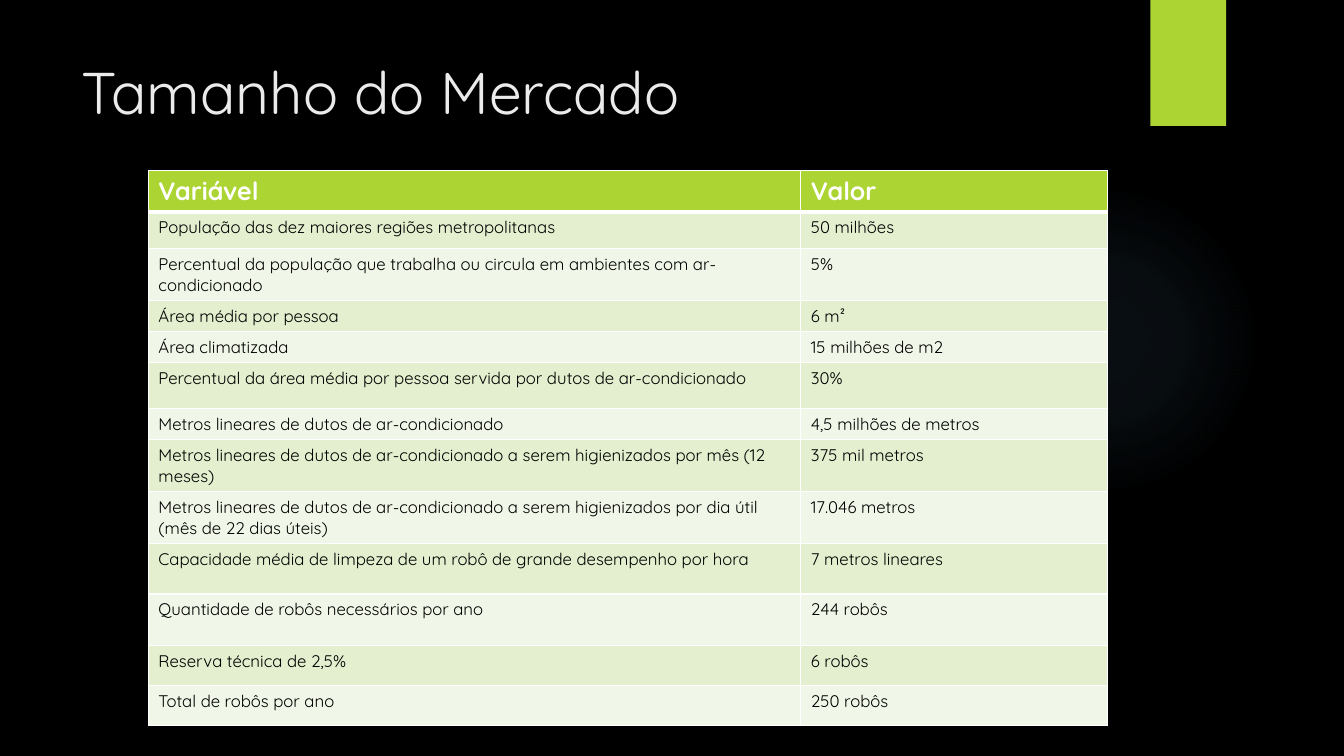
import pptx
import pptx.util
import pptx.dml.color
import pptx.enum.shapes
import pptx.enum.text
import pptx.oxml
import pptx.oxml.ns
from lxml import etree

Pt = pptx.util.Pt
FONT = "Quicksand"
GREEN, WHITE, BLACK = "ACD433", "FFFFFF", "000000"
BANDS = ["E3EFCE", "F1F7E8"]
NS = 'xmlns:a="http://schemas.openxmlformats.org/drawingml/2006/main"'

# Text of each row, with its height
ROWS = [
    ("Variável", "Valor", 29),
    ("População das dez maiores regiões metropolitanas", "50 milhões", 26),
    ("Percentual da população que trabalha ou circula em ambientes com "
     "ar-condicionado", "5%", 37),
    ("Área média por pessoa", "6 m²", 22),
    ("Área climatizada", "15 milhões de m2", 22),
    ("Percentual da área média por pessoa servida por dutos de "
     "ar-condicionado", "30%", 32.5),
    ("Metros lineares de dutos de ar-condicionado", "4,5 milhões de metros", 22),
    ("Metros lineares de dutos de ar-condicionado a serem higienizados por "
     "mês (12 meses)", "375 mil metros", 37),
    ("Metros lineares de dutos de ar-condicionado a serem higienizados por "
     "dia útil (mês de 22 dias úteis)", "17.046 metros", 37),
    ("Capacidade média de limpeza de um robô de grande desempenho por hora",
     "7 metros lineares", 36),
    ("Quantidade de robôs necessários por ano", "244 robôs", 37),
    ("Reserva técnica de 2,5%", "6 robôs", 28.5),
    ("Total de robôs por ano", "250 robôs", 28.5),
]


def rgb(value):
    return pptx.dml.color.RGBColor.from_string(value)


def add_run(p, text, size, color, bold=False):
    r = p.add_run()
    r.text = text
    r.font.name, r.font.size, r.font.bold = FONT, Pt(size), bold
    r.font.color.rgb = rgb(color)


def add_plain_shape(s, kind, box):
    sp = s.shapes.add_shape(kind, *map(Pt, box))
    sp.shadow.inherit = False
    sp.line.fill.background()
    return sp


def add_glow(s, box):
    sp = add_plain_shape(s, pptx.enum.shapes.MSO_SHAPE.OVAL, box)
    stops = "".join(
        f'<a:gs pos="{pos * 1000}"><a:srgbClr val="7AC4F0">'
        f'<a:alpha val="{alpha * 1000}"/></a:srgbClr></a:gs>'
        for pos, alpha in [(0, 7), (36, 6), (69, 0)])
    geometry = sp._element.spPr.find(pptx.oxml.ns.qn("a:prstGeom"))
    geometry.addnext(pptx.oxml.parse_xml(
        f'<a:gradFill {NS}><a:gsLst>{stops}</a:gsLst><a:path path="circle">'
        '<a:fillToRect l="50000" t="50000" r="50000" b="50000"/>'
        '</a:path></a:gradFill>'))


def add_tab(s, box):
    sp = add_plain_shape(s, pptx.enum.shapes.MSO_SHAPE.RECTANGLE, box)
    sp.fill.solid()
    sp.fill.fore_color.rgb = rgb(GREEN)


def set_title(s, box, text):
    sp = s.shapes.title
    sp.left, sp.top, sp.width, sp.height = map(Pt, box)
    tf = sp.text_frame
    tf.word_wrap = True
    tf.vertical_anchor = pptx.enum.text.MSO_ANCHOR.TOP
    p = tf.paragraphs[0]
    p.alignment = pptx.enum.text.PP_ALIGN.LEFT
    add_run(p, text, 42, "EBEBEB")


def set_borders(cell, widths):
    tcPr = cell._tc.get_or_add_tcPr()
    for i, (side, width) in enumerate(widths.items()):
        tcPr.insert(i, etree.fromstring(
            f'<a:ln{side} {NS} w="{Pt(width)}"><a:solidFill>'
            f'<a:srgbClr val="{WHITE}"/></a:solidFill></a:ln{side}>'))


def add_market_table(s, box, first_share):
    table = s.shapes.add_table(len(ROWS), 2, *map(Pt, box)).table
    table.horz_banding = False
    first = round(box[2] * first_share, 2)
    table.columns[0].width = Pt(first)
    table.columns[1].width = Pt(box[2] - first)
    for i, (variable, value, height) in enumerate(ROWS):
        table.rows[i].height = Pt(height)
        header = i == 0
        for j, text in enumerate((variable, value)):
            cell = table.cell(i, j)
            cell.fill.solid()
            cell.fill.fore_color.rgb = rgb(GREEN if header else BANDS[(i - 1) % 2])
            set_borders(cell, {"L": 1, "R": 1, "T": 3 if i == 1 else 1,
                               "B": 3 if header else 1})
            add_run(cell.text_frame.paragraphs[0], text, 18 if header else 12,
                    WHITE if header else BLACK, header)


def build_market_slide(prs):
    s = prs.slides.add_slide(prs.slide_layouts[5])
    s.background.fill.solid()
    s.background.fill.fore_color.rgb = rgb(BLACK)
    add_glow(s, (677.5, 131.8, 221.8, 221.8))
    add_tab(s, (821.8, 0, 54, 90))
    set_title(s, (51.1, 36, 740.9, 110.2), "Tamanho do Mercado")
    add_market_table(s, (106, 121.7, 685.4, sum(row[2] for row in ROWS)), 0.68)


prs = pptx.Presentation()
prs.slide_width, prs.slide_height = Pt(960), Pt(540)
build_market_slide(prs)
prs.save("out.pptx")
